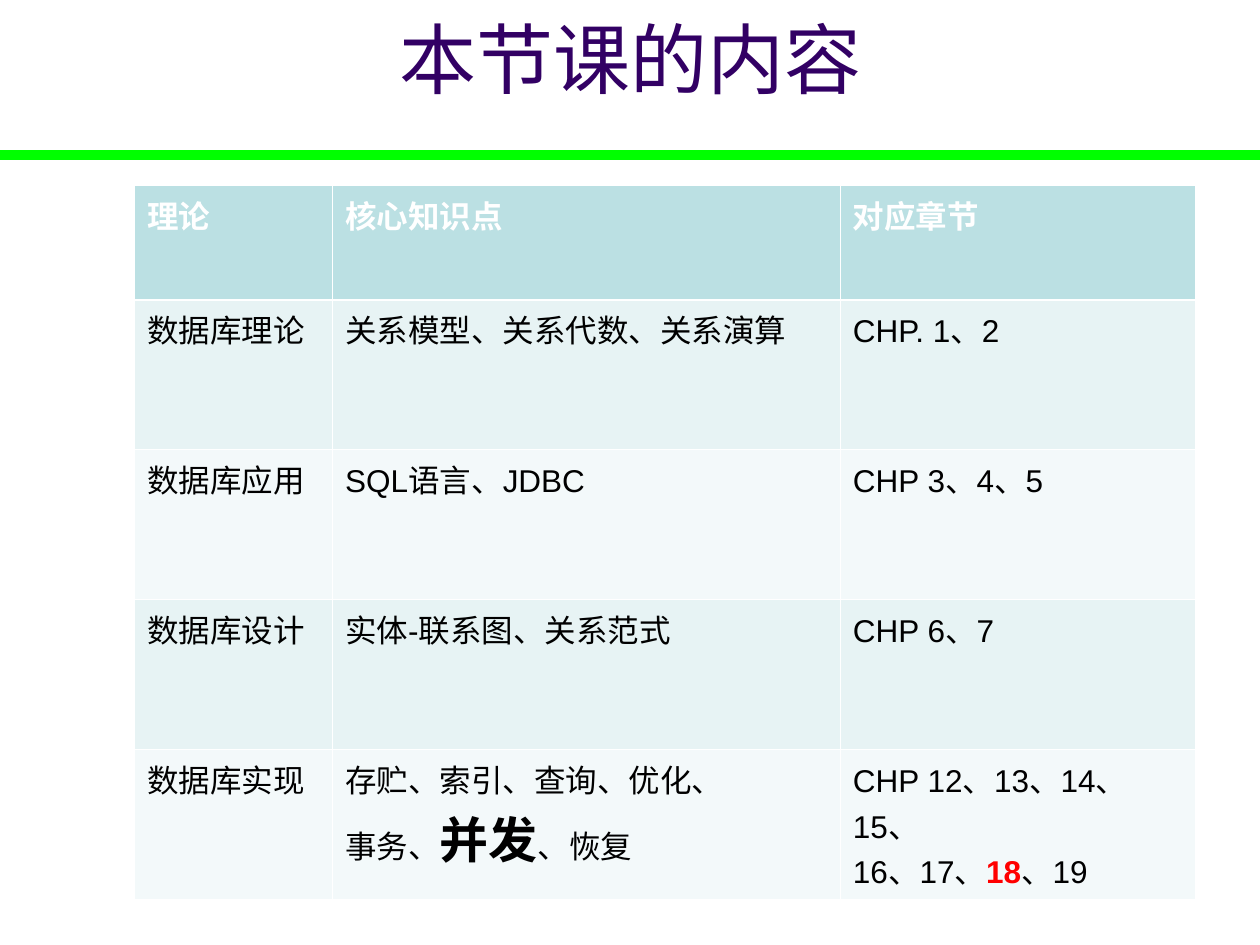
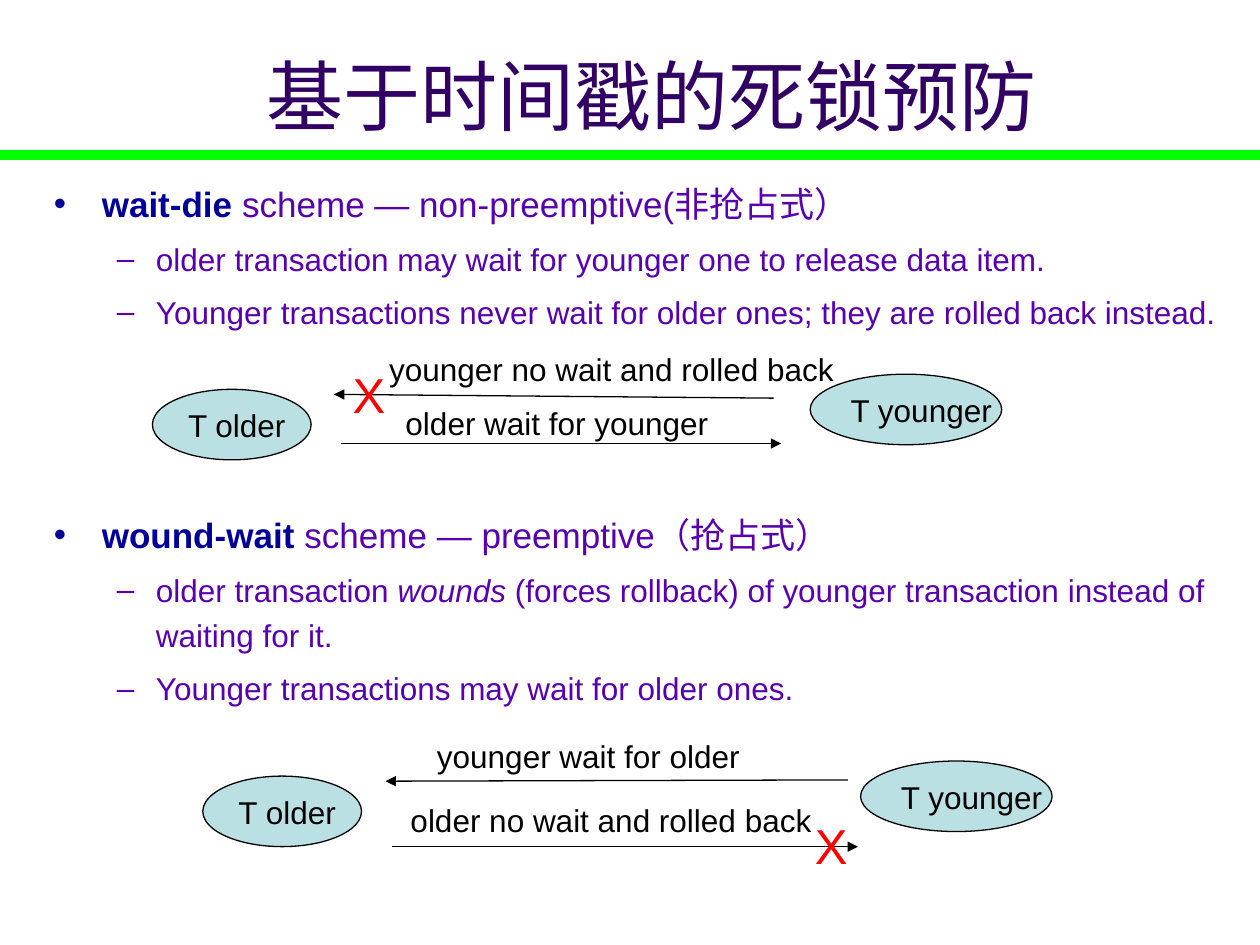
from lxml import etree
from pptx import Presentation
from pptx.dml.color import RGBColor
from pptx.enum.shapes import MSO_CONNECTOR, MSO_SHAPE
from pptx.enum.text import MSO_ANCHOR, MSO_AUTO_SIZE, PP_ALIGN
from pptx.oxml.ns import qn
from pptx.util import Inches, Pt

LINE, OVAL = MSO_CONNECTOR.STRAIGHT, MSO_SHAPE.OVAL
MID, TOP = MSO_ANCHOR.MIDDLE, MSO_ANCHOR.TOP
LEFT, MIDDLE = PP_ALIGN.LEFT, PP_ALIGN.CENTER
GROW = MSO_AUTO_SIZE.SHAPE_TO_FIT_TEXT

FONT = "Arial"
COLORS = {
    "title": "320064", "rule": "00FF00", "key": "000099", "body": "5800B0",
    "black": "000000", "white": "FFFFFF", "alert": "FF0000",
    "head": "BBE0E3", "odd": "E7F3F4", "even": "F3F9FA",
}

# A paragraph is a list of runs; a run is (text, changes of format).
TOPICS = {
    "title": "本节课的内容",
    "title_at": (0.69, 0, 8.63, 0.92),
    "at": (1.07, 1.47),
    "cols": [1.57, 4.03, 2.82],
    "rows": [0.91] + [1.19] * 4,
    "cells": [
        ["理论", "核心知识点", "对应章节"],
        ["数据库理论", "关系模型、关系代数、关系演算", "CHP. 1、2"],
        ["数据库应用", "SQL语言、JDBC", "CHP 3、4、5"],
        ["数据库设计", "实体-联系图、关系范式", "CHP 6、7"],
        ["数据库实现",
         [[("存贮、索引、查询、优化、", {})],
          [("事务、", {}), ("并发", {"size": 28, "bold": True}), ("、恢复", {})]],
         [[("CHP 12、13、14、15、", {})],
          [("16、17、", {}), ("18", {"color": "alert", "bold": True}),
           ("、19", {})]]],
    ],
}

KEY = {"color": "key", "bold": True}
LOCKS = {
    "title": "基于时间戳的死锁预防",
    "title_at": (0, 0.13, 10.35, 1.25),
    "schemes": [
        {
            "top": 1.33,
            "head": [("wait-die", KEY),
                     (" scheme — non-preemptive(非抢占式）", {})],
            "points": [
                [("older transaction may wait for younger one to release "
                  "data item.", {})],
                [("Younger transactions never wait for older ones; they are "
                  "rolled back instead.", {})],
            ],
            "shift": (0, 0),
            "arrows": [((2.71, 3.52), (6.2, 3.52)), ((6.14, 3.16), (2.65, 3.13))],
            "labels": [("older wait for younger", (3.12, 3.16, 2.8, 0.4)),
                       ("younger no wait and rolled back", (2.99, 2.73, 3.8, 0.4))],
            "cross": (2.7, 2.84),
        },
        {
            "top": 3.96,
            "head": [("wound-wait", KEY),
                     (" scheme — preemptive（抢占式）", {})],
            "points": [
                [("older transaction ", {}), ("wounds", {"italic": True}),
                 (" (forces rollback) of younger transaction instead of "
                  "waiting for it.", {})],
                [("Younger transactions may wait for older ones.", {})],
            ],
            "shift": (0.4, 3.07),
            "arrows": [((3.11, 6.72), (6.81, 6.72)), ((6.73, 6.19), (3.06, 6.2))],
            "labels": [("older no wait and rolled back", (3.16, 6.31, 3.5, 0.4)),
                       ("younger wait for older", (3.37, 5.8, 2.8, 0.4))],
            "cross": (6.37, 6.42),
        },
    ],
}
NODES = [("T older", (1.21, 3.09, 1.26, 0.56)),
         ("T younger", (6.43, 2.97, 1.52, 0.56))]


def rgb(name):
    return RGBColor.from_string(COLORS[name])


def inch(nums):
    return [Inches(n) for n in nums]


def sub(node, tag, **attrs):
    return etree.SubElement(node, qn(tag), attrs)


def write(frame, text, size=18, color="black", bold=False, italic=False,
          align=LEFT, anchor=TOP, wrap=True):
    """Fill a text frame from a string or a list of paragraphs."""
    frame.word_wrap = wrap
    frame.vertical_anchor = anchor
    paras = [[(text, {})]] if isinstance(text, str) else text
    base = {"size": size, "color": color, "bold": bold, "italic": italic}
    for i, runs in enumerate(paras):
        para = frame.add_paragraph() if i else frame.paragraphs[0]
        para.alignment = align
        for words, change in runs:
            look = {**base, **change}
            run = para.add_run()
            run.text = words
            font = run.font
            font.name, font.size = FONT, Pt(look["size"])
            font.bold, font.italic = look["bold"], look["italic"]
            font.color.rgb = rgb(look["color"])


def label(slide, text, box, grow=False, **look):
    frame = slide.shapes.add_textbox(*inch(box)).text_frame
    write(frame, text, wrap=not grow, **look)
    if grow:
        frame.auto_size = GROW
    return frame


def draw(slide, start, end, color="black", width=0.75, arrow=False):
    line = slide.shapes.add_connector(LINE, *inch(start + end))
    line.line.color.rgb = rgb(color)
    line.line.width = Pt(width)
    if arrow:
        sub(line.line._get_or_add_ln(), "a:tailEnd", type="triangle")
    sub(line._element.spPr, "a:effectLst")


def bullet(para, mark, color, left, hang, before):
    para.line_spacing = 1.2
    para.space_before = Pt(before)
    props = para._p.get_or_add_pPr()
    props.set("marL", str(Inches(left)))
    props.set("indent", str(-Inches(hang)))
    sub(sub(props, "a:buClr"), "a:srgbClr", val=COLORS[color])
    sub(props, "a:buFont", typeface=FONT)
    sub(props, "a:buChar", char=mark)


def edge(cell, heavy):
    """Put white borders on a cell, with the side named in heavy thicker."""
    props = cell._tc.get_or_add_tcPr()
    for i, side in enumerate(("lnL", "lnR", "lnT", "lnB")):
        width = Pt(1.47 if side == heavy else 0.45)
        line = etree.Element(qn("a:" + side), w=str(width))
        sub(sub(line, "a:solidFill"), "a:srgbClr", val=COLORS["white"])
        props.insert(i, line)


def start(deck, data):
    """Add a slide with the shared rule and title."""
    slide = deck.slides.add_slide(deck.slide_layouts[6])
    draw(slide, (0, 1.23), (10, 1.23), color="rule", width=6.25)
    label(slide, data["title"], data["title_at"], size=44, color="title",
          align=MIDDLE, anchor=MID)
    return slide


def grid(slide, data):
    cols, rows = data["cols"], data["rows"]
    box = data["at"] + (sum(cols), sum(rows))
    table = slide.shapes.add_table(len(rows), len(cols), *inch(box)).table
    for col, width in zip(table.columns, cols):
        col.width = Inches(width)
    for r, texts in enumerate(data["cells"]):
        table.rows[r].height = Inches(rows[r])
        fill = "head" if r == 0 else "odd" if r % 2 else "even"
        for c, text in enumerate(texts):
            cell = table.cell(r, c)
            cell.fill.solid()
            cell.fill.fore_color.rgb = rgb(fill)
            write(cell.text_frame, text, bold=r == 0,
                  color="black" if r else "white")
            edge(cell, {0: "lnB", 1: "lnT"}.get(r))


def node(slide, text, box):
    oval = slide.shapes.add_shape(OVAL, *inch(box))
    oval.shadow.inherit = False
    oval.fill.solid()
    oval.fill.fore_color.rgb = rgb("head")
    oval.line.color.rgb = rgb("black")
    oval.line.width = Pt(0.75)
    write(oval.text_frame, text, wrap=False)


def scheme(slide, data):
    """Add the bullets of one scheme and the sketch below them."""
    head = [(words, {"size": 20, **look}) for words, look in data["head"]]
    frame = label(slide, [head] + data["points"],
                  (0.33, data["top"], 9.47, 1.8), color="body")
    first, *rest = frame.paragraphs
    bullet(first, "•", "key", 0.38, 0.38, 5)
    for para in rest:
        bullet(para, "–", "body", 0.81, 0.31, 4.5)

    dx, dy = data["shift"]
    for text, (x, y, w, h) in NODES:
        node(slide, text, (x + dx, y + dy, w, h))
    for tail, tip in data["arrows"]:
        draw(slide, tail, tip, arrow=True)
    for text, box in data["labels"]:
        label(slide, text, box, grow=True)
    label(slide, "X", data["cross"] + (0.46, 0.57), grow=True, size=28,
          color="alert")


def main():
    deck = Presentation()
    deck.slide_width, deck.slide_height = Inches(10), Inches(7.5)
    grid(start(deck, TOPICS), TOPICS)
    slide = start(deck, LOCKS)
    for data in LOCKS["schemes"]:
        scheme(slide, data)
    deck.save("out.pptx")


if __name__ == "__main__":
    main()
